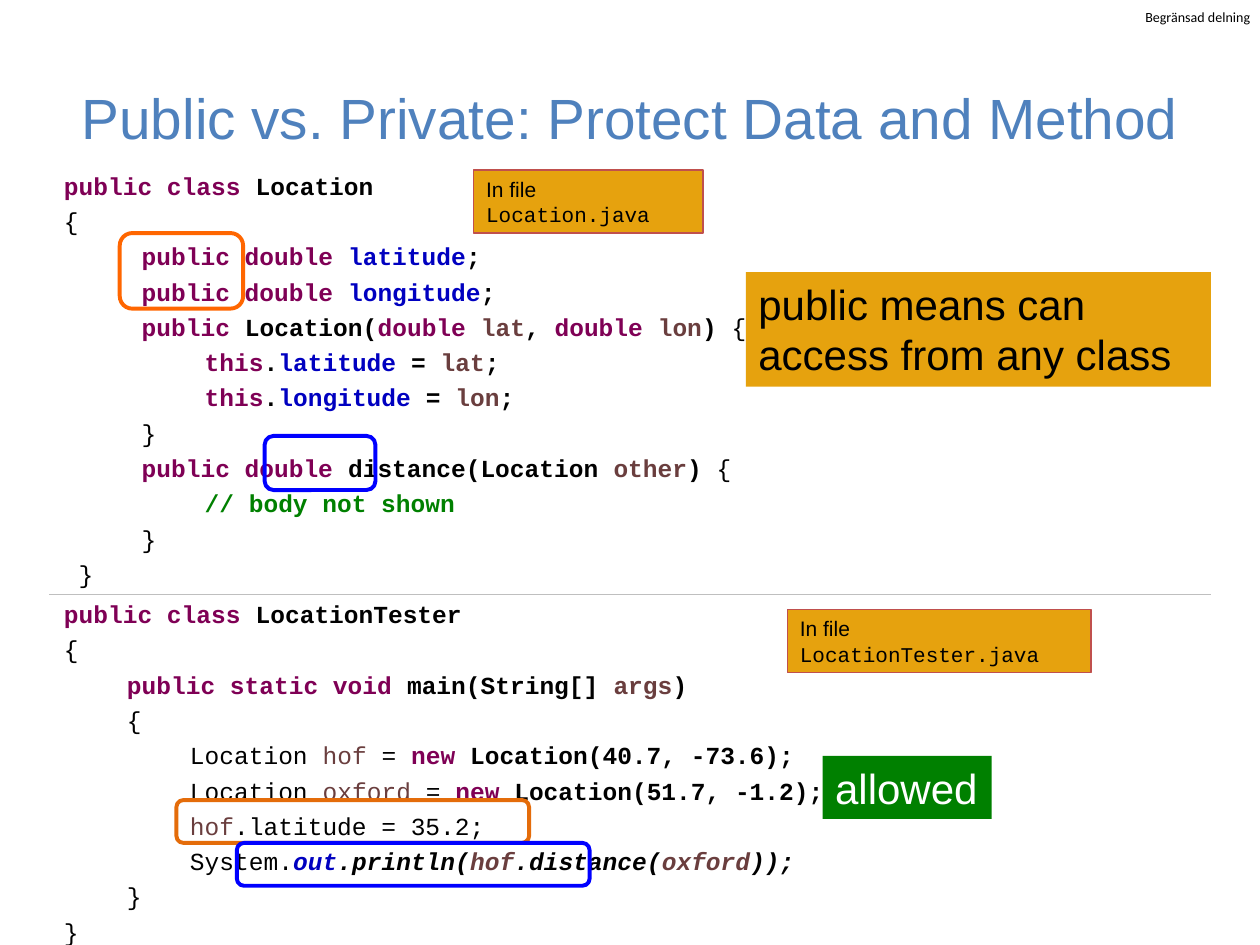
from lxml import etree
from pptx import Presentation
from pptx.dml.color import RGBColor
from pptx.enum.shapes import MSO_CONNECTOR as Connector, MSO_SHAPE as Shape
from pptx.enum.text import MSO_ANCHOR as Anchor, PP_ALIGN as Align
from pptx.oxml.ns import qn
from pptx.util import Inches, Pt

CODE_FONT = "Courier New"
BLACK, PURPLE, BLUE, BROWN = "000000", "7F0055", "0000C0", "6A3E3E"
AMBER, GREEN, BRIGHT_BLUE = "E6A20E", "008000", "0000FF"

PLAIN = dict(color=BLACK)
BOLD = dict(color=BLACK, bold=True)
KEYWORD = dict(color=PURPLE, bold=True)
FIELD = dict(color=BLUE, bold=True)
VARIABLE = dict(color=BROWN, bold=True)
LOCAL = dict(color=BROWN)
COMMENT = dict(color=GREEN, bold=True)
STATIC = dict(FIELD, italic=True)
CALL = dict(BOLD, italic=True)
ARGUMENT = dict(VARIABLE, italic=True)


def field_line(name):
    return [("\t ", PLAIN), ("public double ", KEYWORD), (name, FIELD), (";", BOLD)]


def assignment_line(name, value):
    return [("\t\t ", BOLD), ("this", KEYWORD), (".", BOLD), (name, FIELD),
            (" = ", BOLD), (value, VARIABLE), (";", BOLD)]


def creation_line(name, arguments):
    return [("\t\tLocation ", PLAIN), (name, LOCAL), (" = ", PLAIN),
            ("new", KEYWORD), (f" Location({arguments});", BOLD)]


LOCATION_CODE = [
    [("public class", KEYWORD), (" Location", BOLD)],
    [("{", PLAIN)],
    field_line("latitude"),
    field_line("longitude"),
    [("\t public", KEYWORD), (" Location(", BOLD), ("double ", KEYWORD), ("lat", VARIABLE),
     (", ", BOLD), ("double ", KEYWORD), ("lon", VARIABLE), (") ", BOLD), ("{", PLAIN)],
    assignment_line("latitude", "lat"),
    assignment_line("longitude", "lon"),
    [("\t }", PLAIN)],
    [("\t public double", KEYWORD), (" distance(Location ", BOLD), ("other", VARIABLE),
     (") ", BOLD), ("{", PLAIN)],
    [("\t\t // body not shown", COMMENT)],
    [("\t }", PLAIN)],
    [(" }", PLAIN)],
]

TESTER_CODE = [
    [("public class", KEYWORD), (" LocationTester", BOLD)],
    [("{", PLAIN)],
    [("\tpublic static void", KEYWORD), (" main(String[] ", BOLD), ("args", VARIABLE), (")", BOLD)],
    [("\t{", PLAIN)],
    creation_line("hof", "40.7, -73.6"),
    creation_line("oxford", "51.7, -1.2"),
    [("\t\t", PLAIN), ("hof", LOCAL), (".latitude = 35.2;", PLAIN)],
    [("\t\tSystem.", PLAIN), ("out", STATIC), (".println(", CALL), ("hof", ARGUMENT),
     (".distance(", CALL), ("oxford", ARGUMENT), ("));", CALL)],
    [("\t}", PLAIN)],
    [("}", PLAIN)],
]


def rgb(value):
    return RGBColor.from_string(value)


def add_text(paragraph, text, size=12, font="Arial", color=BLACK, bold=False, italic=False):
    run = paragraph.add_run()
    run.text = text
    run.font.size = Pt(size)
    run.font.name = font
    run.font.color.rgb = rgb(color)
    run.font.bold = bold
    run.font.italic = italic


def add_tab_stops(paragraph, positions):
    tab_list = etree.SubElement(paragraph._p.get_or_add_pPr(), qn("a:tabLst"))
    for position in positions:
        etree.SubElement(tab_list, qn("a:tab"), pos=str(Inches(position)), algn="l")


def add_box(slide, kind, left, top, width, height, fill=None, line=None, line_width=2.25):
    shape = slide.shapes.add_shape(kind, Inches(left), Inches(top), Inches(width), Inches(height))
    shape.shadow.inherit = False
    if fill:
        shape.fill.solid()
        shape.fill.fore_color.rgb = rgb(fill)
    else:
        shape.fill.background()
    if line:
        shape.line.color.rgb = rgb(line)
        shape.line.width = Pt(line_width)
    else:
        shape.line.fill.background()
    return shape


def add_label(slide, box, runs, fill, line=None):
    shape = add_box(slide, Shape.RECTANGLE, *box, fill=fill, line=line, line_width=0.75)
    frame = shape.text_frame
    frame.word_wrap = True
    frame.vertical_anchor = Anchor.TOP
    paragraph = frame.paragraphs[0]
    paragraph.alignment = Align.LEFT
    for text, style in runs:
        add_text(paragraph, text, **style)


def add_file_label(slide, box, file_name):
    runs = [("In file ", {}), (file_name, dict(font=CODE_FONT))]
    add_label(slide, box, runs, AMBER, line="C0504D")


def add_note(slide, box, text, fill, color):
    add_label(slide, box, [(text, dict(size=24, color=color))], fill)


def add_frame(slide, left, top, width, height, color):
    add_box(slide, Shape.ROUNDED_RECTANGLE, left, top, width, height, line=color)


def add_code(slide, left, top, width, height, lines):
    box = slide.shapes.add_textbox(Inches(left), Inches(top), Inches(width), Inches(height))
    frame = box.text_frame
    frame.word_wrap = True
    for index, runs in enumerate(lines):
        paragraph = frame.add_paragraph() if index else frame.paragraphs[0]
        paragraph.line_spacing = 1.2
        add_tab_stops(paragraph, [0.5, 1])
        for text, style in runs:
            add_text(paragraph, text, size=14, font=CODE_FONT, **style)


def add_header(slide, left, top, width, height):
    box = slide.shapes.add_textbox(Inches(left), Inches(top), Inches(width), Inches(height))
    frame = box.text_frame
    frame.word_wrap = False
    frame.margin_left = frame.margin_right = frame.margin_top = frame.margin_bottom = 0
    add_text(frame.paragraphs[0], "Begränsad delning", size=8, font="Calibri")


def add_title(slide, left, top, width, height):
    title = slide.shapes.title
    title.left, title.top = Inches(left), Inches(top)
    title.width, title.height = Inches(width), Inches(height)
    title.text_frame.vertical_anchor = Anchor.MIDDLE
    paragraph = title.text_frame.paragraphs[0]
    paragraph.alignment = Align.CENTER
    add_text(paragraph, "Public vs. Private: Protect Data and Method", size=32.4, color="4F81BD")


def add_divider(slide, left, top, width):
    line = slide.shapes.add_connector(
        Connector.STRAIGHT, Inches(left), Inches(top), Inches(left + width), Inches(top))
    line.line.color.rgb = rgb("BFBFBF")
    line.line.width = Pt(0.25)
    etree.SubElement(line._element.spPr, qn("a:effectLst"))


def add_location_section(slide, left, top, width, height):
    add_code(slide, left, top, width, height, LOCATION_CODE)
    add_frame(slide, left + 1.69, top + 2.2, 0.88, 0.43, BRIGHT_BLUE)
    add_frame(slide, left + 0.54, top + 0.59, 0.98, 0.6, "FF6600")
    add_note(slide, (left + 5.51, top + 0.9, 3.69, 0.91),
             "public means can access from any class", AMBER, BLACK)
    add_file_label(slide, (left + 3.35, top + 0.09, 1.82, 0.5), "Location.java")


def add_tester_section(slide, left, top, width, height):
    add_code(slide, left, top, width, height, TESTER_CODE)
    add_note(slide, (left + 6.12, top + 1.34, 1.34, 0.5), "allowed", GREEN, "FFFFFF")
    add_frame(slide, left + 0.99, top + 1.69, 2.8, 0.34, "E46C0A")
    add_frame(slide, left + 1.47, top + 2.03, 2.8, 0.34, BRIGHT_BLUE)
    add_file_label(slide, (left + 5.84, top + 0.18, 2.41, 0.5), "LocationTester.java")


def main():
    presentation = Presentation()
    presentation.slide_width, presentation.slide_height = Inches(10), Inches(7.5)
    slide = presentation.slides.add_slide(presentation.slide_layouts[5])
    add_header(slide, 9.09, 0.07, 0.86, 0.13)
    add_title(slide, 0.5, 0.3, 9, 1.25)
    add_tester_section(slide, 0.41, 4.66, 7.46, 2.92)
    add_location_section(slide, 0.41, 1.26, 8.97, 3.48)
    add_divider(slide, 0.39, 4.72, 9.22)
    presentation.save("out.pptx")


if __name__ == "__main__":
    main()
